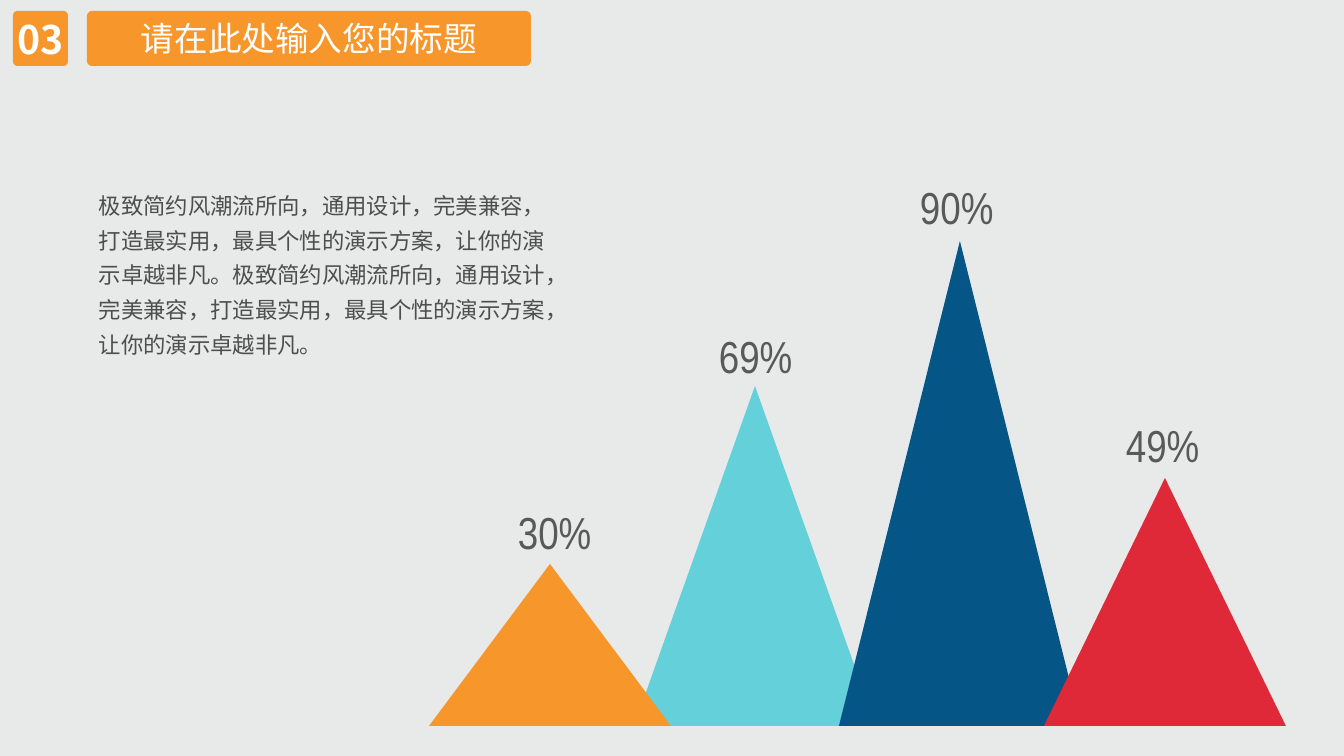
from pptx import Presentation
from pptx.dml.color import RGBColor
from pptx.enum.shapes import MSO_SHAPE
from pptx.enum.text import MSO_ANCHOR, MSO_AUTO_SIZE, PP_ALIGN
from pptx.oxml.ns import qn
from pptx.util import Emu, Pt
from lxml import etree

TRIANGLE = MSO_SHAPE.ISOSCELES_TRIANGLE
ROUNDED = MSO_SHAPE.ROUNDED_RECTANGLE
MIDDLE = MSO_ANCHOR.MIDDLE
CENTER = PP_ALIGN.CENTER
GROW = MSO_AUTO_SIZE.SHAPE_TO_FIT_TEXT

EMU_PER_PX = 914400 / 100.8
WIDTH, HEIGHT = 1344, 756
COLORS = {
    "background": "E8E9E9",
    "orange": "F7962B",
    "teal": "64D0DA",
    "navy": "055586",
    "red": "DF2938",
    "label": "595959",
    "body": "4E4E4E",
    "white": "FFFFFF",
}
CJK_FONT = "Noto Sans CJK SC"
LABEL_FONT = "Arial Narrow"

PEAK_LEFT, PEAK_STEP, PEAK_WIDTH, BASELINE = 429, 205, 242, 726
PEAKS = [
    (1, 386, "teal", "69%", 709, 324),
    (0, 564, "orange", "30%", 508, 500),
    (2, 241, "navy", "90%", 910, 175),
    (3, 478, "red", "49%", 1116, 413),
]
BODY = (
    "极致简约风潮流所向，通用设计，完美兼容，打造最实用，最具个性的演示方案，让你的演示卓越非凡。"
    "极致简约风潮流所向，通用设计，完美兼容，打造最实用，最具个性的演示方案，让你的演示卓越非凡。"
)


def px(value):
    return Emu(round(value * EMU_PER_PX))


def rgb(name):
    return RGBColor.from_string(COLORS[name])


def assign(target, values):
    for name, value in values.items():
        setattr(target, name, value)


class SlideBuilder:
    def __init__(self, presentation):
        self.slide = presentation.slides.add_slide(presentation.slide_layouts[6])
        fill = self.slide.background.fill
        fill.solid()
        fill.fore_color.rgb = rgb("background")

    def text(self, shape, content, font, size, color, frame, layout=None, bold=False):
        assign(shape.text_frame, frame)
        paragraph = shape.text_frame.paragraphs[0]
        assign(paragraph, layout or {})
        run = paragraph.add_run()
        run.text = content
        assign(run.font, {"name": font, "size": Pt(size), "bold": bold})
        run.font.color.rgb = rgb(color)
        properties = run._r.get_or_add_rPr()
        etree.SubElement(properties, qn("a:ea")).set("typeface", font)

    def shape(self, kind, box, color):
        shape = self.slide.shapes.add_shape(kind, *map(px, box))
        shape.shadow.inherit = False
        shape.fill.solid()
        shape.fill.fore_color.rgb = rgb(color)
        shape.line.fill.background()
        return shape

    def textbox(self, box, content, font, size, color, frame, layout=None):
        shape = self.slide.shapes.add_textbox(*map(px, box))
        self.text(shape, content, font, size, color, frame, layout)

    def badge(self, box, radius, content, size, margin, bold=False):
        shape = self.shape(ROUNDED, box, "orange")
        shape.adjustments[0] = radius
        frame = {
            "vertical_anchor": MIDDLE,
            "margin_left": px(margin),
            "margin_right": px(margin),
            "margin_top": 0,
            "margin_bottom": 0,
        }
        self.text(shape, content, CJK_FONT, size, "white", frame, {"alignment": CENTER}, bold)


def main():
    presentation = Presentation()
    assign(presentation, {"slide_width": px(WIDTH), "slide_height": px(HEIGHT)})
    builder = SlideBuilder(presentation)

    for column, top, color, *_ in PEAKS:
        left = PEAK_LEFT + column * PEAK_STEP
        builder.shape(TRIANGLE, (left, top, PEAK_WIDTH, BASELINE - top), color)
    for *_, label, left, top in sorted(PEAKS):
        frame = {"word_wrap": False, "auto_size": GROW}
        builder.textbox((left, top, 100, 64), label, LABEL_FONT, 32, "label", frame)

    builder.textbox(
        (89, 178, 468, 186), BODY, CJK_FONT, 16, "body",
        {"word_wrap": True, "auto_size": GROW, "vertical_anchor": MIDDLE},
        {"line_spacing": 1.3, "space_after": Pt(6)},
    )
    builder.badge((13, 11, 55, 55), 0.08, "03", 28, 0, bold=True)
    builder.badge((87, 11, 444, 55), 0.09, "请在此处输入您的标题", 24, 10)
    presentation.save("out.pptx")


if __name__ == "__main__":
    main()
